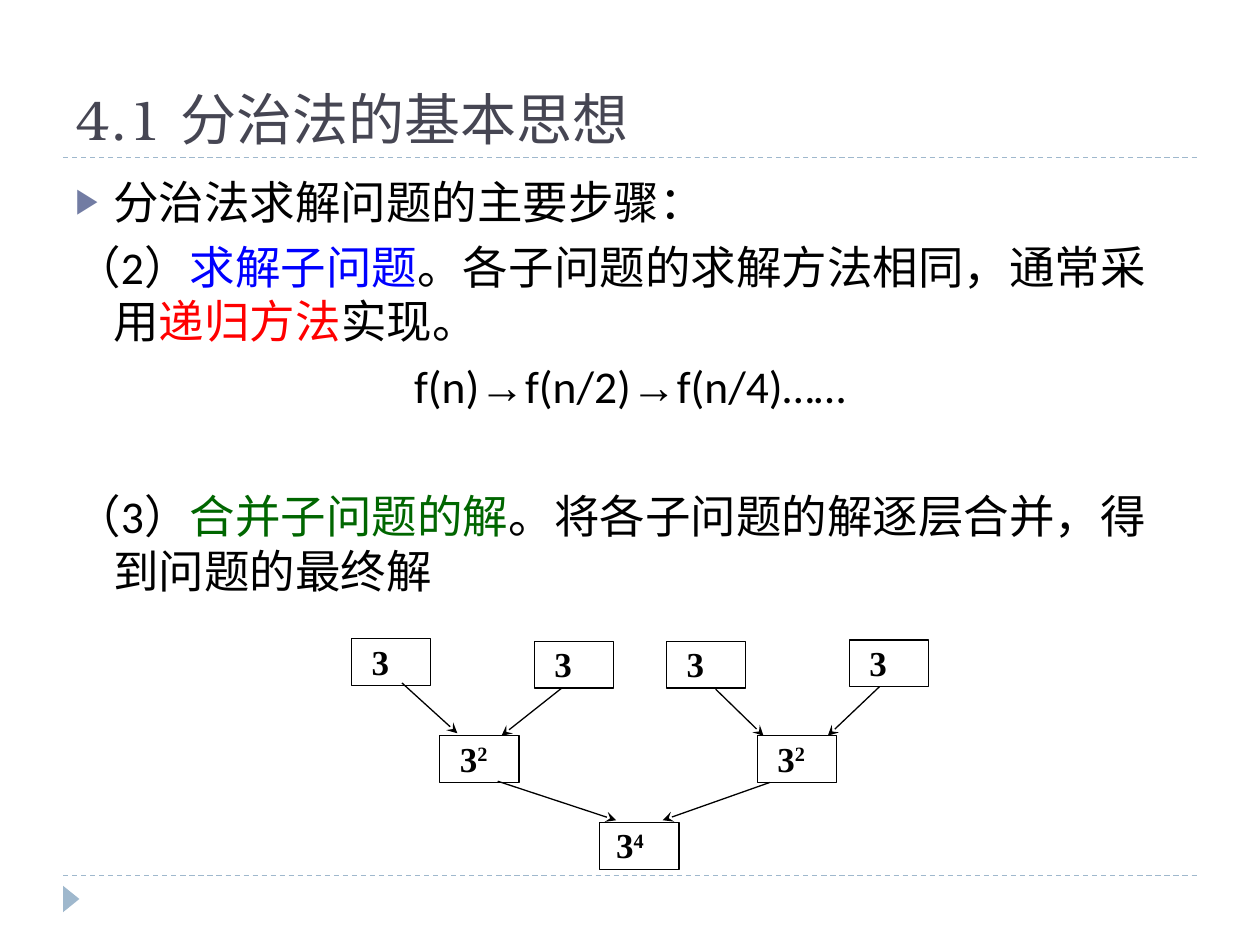
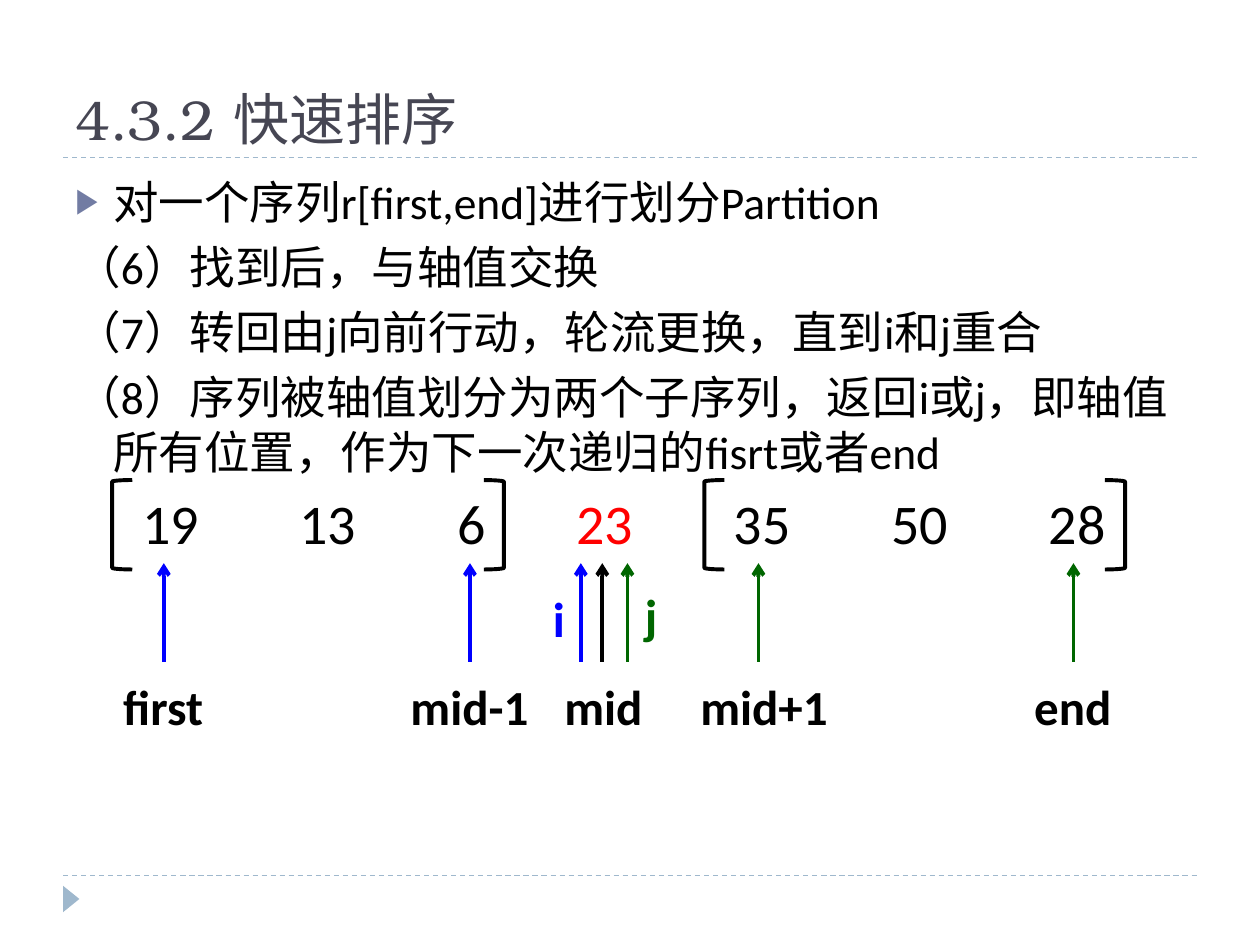
from itertools import accumulate

from lxml import etree
from pptx import Presentation
from pptx.dml.color import RGBColor
from pptx.enum.dml import MSO_LINE
from pptx.enum.shapes import MSO_CONNECTOR, MSO_SHAPE
from pptx.enum.text import MSO_ANCHOR, PP_ALIGN
from pptx.oxml.ns import qn
from pptx.util import Inches, Pt

BLACK = RGBColor(0x00, 0x00, 0x00)
BLUE = RGBColor(0x00, 0x00, 0xFF)
RED = RGBColor(0xFF, 0x00, 0x00)
GREEN = RGBColor(0x00, 0x66, 0x00)
TITLE_GREY = RGBColor(0x46, 0x46, 0x53)
RULE_BLUE = RGBColor(0x9F, 0xB8, 0xCD)
BULLET_COLOR = RGBColor(0x72, 0x7C, 0xA3)

STRAIGHT = MSO_CONNECTOR.STRAIGHT
RECTANGLE, TRIANGLE = MSO_SHAPE.RECTANGLE, MSO_SHAPE.ISOSCELES_TRIANGLE
LEFT_BRACKET, RIGHT_BRACKET = MSO_SHAPE.LEFT_BRACKET, MSO_SHAPE.RIGHT_BRACKET
LEFT, CENTER = PP_ALIGN.LEFT, PP_ALIGN.CENTER
TOP, BOTTOM, DASH = MSO_ANCHOR.TOP, MSO_ANCHOR.BOTTOM, MSO_LINE.DASH

WIDTH, HEIGHT, MARGIN = 10, 7.5, 0.5
CONTENT_WIDTH = WIDTH - 2 * MARGIN
TITLE_RULE, FOOTER_RULE = 1.25, 6.95
INSETS = (0.1, 0.05, 0.1, 0.05)
INDENT = 0.3

TITLE_FONT = {"name": "TeX Gyre Bonum", "size": Pt(32), "color": TITLE_GREY}
BODY_FONT = {"name": "Calibri", "size": Pt(26), "color": BLACK}
NUMBER_FONT = {**BODY_FONT, "size": Pt(32)}
LABEL_FONT = {**BODY_FONT, "size": Pt(28), "bold": True}
NODE_FONT = {"name": "Times New Roman", "size": Pt(20), "color": BLACK, "bold": True}
ARROW = ("→", {"name": "Arial"})

# Each paragraph: its runs (text, format changes) and its paragraph settings.
DIVIDE_TITLE = "4.1 分治法的基本思想"
DIVIDE_STEPS = [
    ([("分治法求解问题的主要步骤：", {})], {"bullet": True}),
    ([("（2）", {}), ("求解子问题", {"color": BLUE}),
      ("。各子问题的求解方法相同，通常采用", {}),
      ("递归方法", {"color": RED}), ("实现。", {})], {}),
    ([("f(n)", {}), ARROW, ("f(n/2)", {}), ARROW, ("f(n/4)……", {})],
     {"alignment": CENTER}),
    ([("（3）", {}), ("合并子问题的解", {"color": GREEN}),
      ("。将各子问题的解逐层合并，得到问题的最终解", {})],
     {"space_before": Pt(43)}),
]
NODE_WIDTH, NODE_HEIGHT = 0.63, 0.37
# Left, top, exponent, left inset
TREE_NODES = [
    (2.79, 5.07, "", 0.16), (4.24, 5.09, "", 0.16),
    (5.29, 5.09, "", 0.16), (6.74, 5.08, "", 0.16),
    (3.49, 5.84, "2", 0.16), (6.01, 5.84, "2", 0.16),
    (4.76, 6.53, "4", 0.13),
]
TREE_ARROWS = [
    ((3.19, 5.42), (3.63, 5.82)), ((4.46, 5.46), (3.98, 5.84)),
    ((5.68, 5.47), (6.06, 5.84)), ((6.98, 5.45), (6.57, 5.84)),
    ((3.95, 6.20), (4.89, 6.51)), ((6.11, 6.21), (5.26, 6.51)),
]

SORT_TITLE = "4.3.2 快速排序"
SORT_STEPS = [
    ([("对一个序列r[first,end]进行划分Partition", {})], {"bullet": True}),
    ([("（6）找到后，与轴值交换", {})], {}),
    ([("（7）转回由j向前行动，轮流更换，直到i和j重合", {})], {}),
    ([("（8）序列被轴值划分为两个子序列，返回i或j，"
       "即轴值所有位置，作为下一次递归的fisrt或者end", {})], {}),
]
# Number, gap to the next number, format changes
SEQUENCE = [
    ("19", 0.8, {}), ("13", 0.8, {}), ("6", 0.72, {}), ("23", 0.8, {"color": RED}),
    ("35", 0.8, {}), ("50", 0.8, {}), ("28", 0, {}),
]
DIGIT_WIDTH = 0.225
BRACKETS = [(LEFT_BRACKET, 0.89), (RIGHT_BRACKET, 3.84),
            (LEFT_BRACKET, 5.59), (RIGHT_BRACKET, 8.77)]
POINTERS = [(1.30, BLUE), (3.73, BLUE), (4.61, BLUE), (4.78, BLACK),
            (4.98, GREEN), (6.02, GREEN), (8.52, GREEN)]
POINTER_START, POINTER_END = 5.25, 4.47
LABEL_TOP, LABEL_HEIGHT = 5.32, 0.57
# Text, left, top, width, colour
LABELS = [
    ("first", 0.88, LABEL_TOP, 0.84, BLACK), ("mid-1", 3.16, LABEL_TOP, 1.2, BLACK),
    ("mid", 4.38, LABEL_TOP, 0.82, BLACK), ("mid+1", 5.46, LABEL_TOP, 1.21, BLACK),
    ("end", 8.11, LABEL_TOP, 0.81, BLACK),
    ("i", 4.29, 4.62, 0.29, BLUE), ("j", 5.02, 4.60, 0.30, GREEN),
]


def inches(*lengths):
    return [Inches(length) for length in lengths]


def add_xml(parent, tag, **attributes):
    return etree.SubElement(parent, qn(tag), attributes)


def add_run(paragraph, text, formats):
    run = paragraph.add_run()
    run.text = text
    for name, value in formats.items():
        if name == "color":
            run.font.color.rgb = value
        elif name == "baseline":
            run.font._element.set("baseline", value)
        else:
            setattr(run.font, name, value)


def set_frame(frame, insets=INSETS, wrap=True, anchor=TOP):
    sides = ("margin_left", "margin_top", "margin_right", "margin_bottom")
    for side, inset in zip(sides, inches(*insets)):
        setattr(frame, side, inset)
    frame.word_wrap = wrap
    frame.vertical_anchor = anchor


def add_text(slide, box, runs, font, **frame_options):
    """Add a text box with one paragraph and return that paragraph."""
    frame = slide.shapes.add_textbox(*inches(*box)).text_frame
    set_frame(frame, **frame_options)
    paragraph = frame.paragraphs[0]
    for text, changes in runs:
        add_run(paragraph, text, {**font, **changes})
    return paragraph


def add_line(shapes, start, end, color, width, dash=None, arrowhead=None):
    line = shapes.add_connector(STRAIGHT, *inches(*start, *end))
    line.line.color.rgb = color
    line.line.width = Pt(width)
    if dash:
        line.line.dash_style = dash
    properties = line.element.spPr
    if arrowhead:
        add_xml(properties.find(qn("a:ln")), "a:tailEnd", type=arrowhead)
    add_xml(properties, "a:effectLst")


def add_shape(shapes, kind, box, fill=None, line_width=None):
    shape = shapes.add_shape(kind, *inches(*box))
    shape.shadow.inherit = False
    if fill:
        shape.fill.solid()
        shape.fill.fore_color.rgb = fill
    else:
        shape.fill.background()
    if line_width:
        shape.line.color.rgb = BLACK
        shape.line.width = Pt(line_width)
    else:
        shape.line.fill.background()
    return shape


def add_body(slide, steps):
    box = (MARGIN, 1.33, CONTENT_WIDTH, 5.4)
    frame = slide.shapes.add_textbox(*inches(*box)).text_frame
    set_frame(frame)
    for index, (runs, settings) in enumerate(steps):
        paragraph = frame.paragraphs[0] if index == 0 else frame.add_paragraph()
        properties = paragraph._p.get_or_add_pPr()
        properties.set("marL", str(Inches(INDENT)))
        properties.set("indent", str(-Inches(INDENT)))
        if settings.get("bullet"):
            add_xml(add_xml(properties, "a:buClr"), "a:srgbClr", val=str(BULLET_COLOR))
            add_xml(properties, "a:buSzPct", val="76000")
            add_xml(properties, "a:buFont", typeface="Arial")
            add_xml(properties, "a:buChar", char="▶")
        else:
            add_xml(properties, "a:buNone")
        paragraph.alignment = settings.get("alignment")
        if index:
            paragraph.space_before = settings.get("space_before", Pt(6))
        for text, changes in runs:
            add_run(paragraph, text, {**BODY_FONT, **changes})


def add_base_slide(presentation, title, steps):
    """Add a slide with the shared rules, corner mark, title and body."""
    slide = presentation.slides.add_slide(presentation.slide_layouts[6])
    for top in (FOOTER_RULE, TITLE_RULE):
        add_line(slide.shapes, (MARGIN, top), (WIDTH - MARGIN, top),
                 RULE_BLUE, 0.75, dash=DASH)
    mark = add_shape(slide.shapes, TRIANGLE, (0.46, 7.07, 0.21, 0.13), fill=RULE_BLUE)
    mark.rotation = 90
    add_text(slide, (MARGIN, 0.17, CONTENT_WIDTH, TITLE_RULE - 0.17),
             [(title, {})], TITLE_FONT, anchor=BOTTOM)
    add_body(slide, steps)
    return slide


def add_merge_tree(slide):
    tree = slide.shapes.add_group_shape().shapes
    for left, top, exponent, inset in TREE_NODES:
        node = add_shape(tree, RECTANGLE, (left, top, NODE_WIDTH, NODE_HEIGHT),
                         line_width=0.75)
        set_frame(node.text_frame, insets=(inset, 0.01, 0.02, 0.01))
        paragraph = node.text_frame.paragraphs[0]
        paragraph.alignment = LEFT
        add_run(paragraph, "3", NODE_FONT)
        if exponent:
            add_run(paragraph, exponent, {**NODE_FONT, "baseline": "30000"})
    for start, end in TREE_ARROWS:
        add_line(tree, start, end, BLACK, 0.75, arrowhead="stealth")


def add_partition(slide):
    runs = [(("\t" if index else "") + number, changes)
            for index, (number, _, changes) in enumerate(SEQUENCE)]
    row = add_text(slide, (1.03, 3.83, 8, 0.64), runs, NUMBER_FONT)
    tabs = add_xml(row._p.get_or_add_pPr(), "a:tabLst")
    steps = [len(number) * DIGIT_WIDTH + gap for number, gap, _ in SEQUENCE[:-1]]
    for position in accumulate(steps):
        add_xml(tabs, "a:tab", pos=str(Inches(position)), algn="l")
    for kind, left in BRACKETS:
        add_shape(slide.shapes, kind, (left, 3.81, 0.16, 0.71), line_width=2.25)
    for x, color in POINTERS:
        add_line(slide.shapes, (x, POINTER_START), (x, POINTER_END), color, 2.25,
                 arrowhead="arrow")
    for text, left, top, width, color in LABELS:
        add_text(slide, (left, top, width, LABEL_HEIGHT), [(text, {"color": color})],
                 LABEL_FONT, wrap=False)


def main():
    presentation = Presentation()
    presentation.slide_width, presentation.slide_height = inches(WIDTH, HEIGHT)
    add_merge_tree(add_base_slide(presentation, DIVIDE_TITLE, DIVIDE_STEPS))
    add_partition(add_base_slide(presentation, SORT_TITLE, SORT_STEPS))
    presentation.save("out.pptx")


if __name__ == "__main__":
    main()
